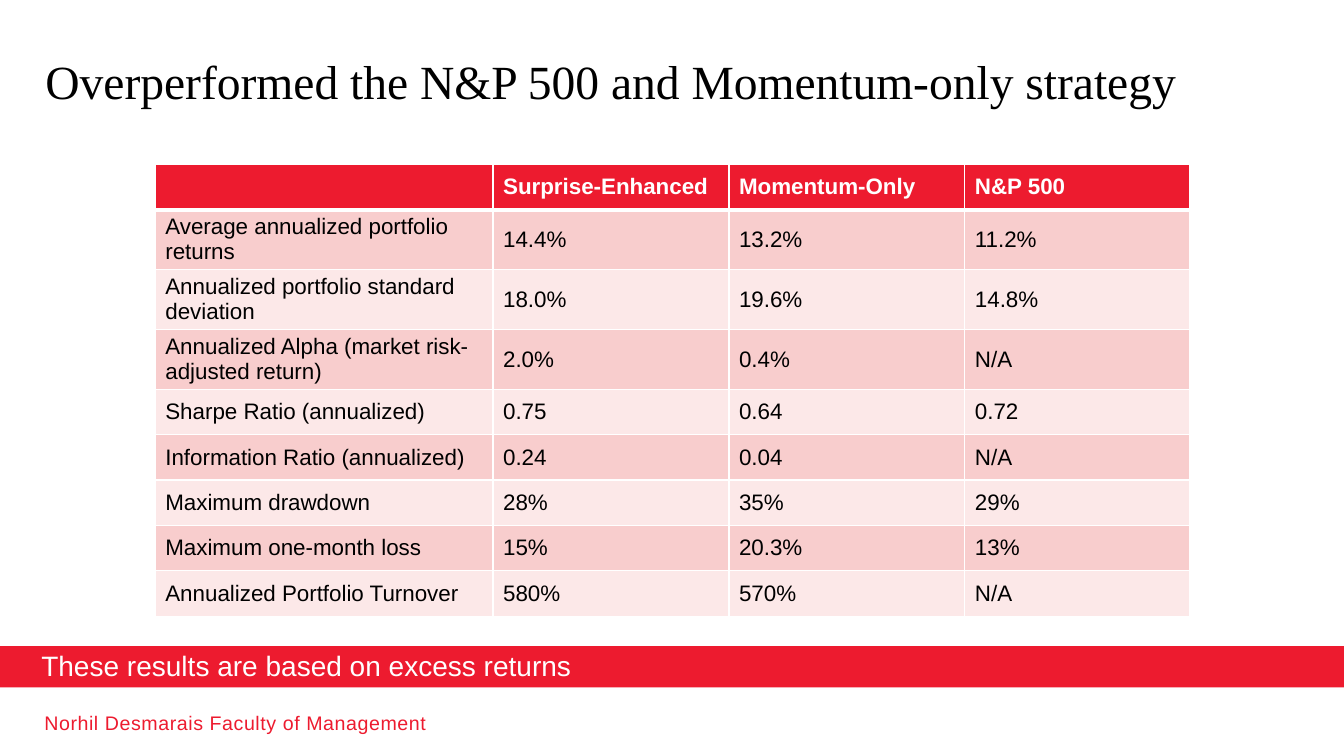
from dataclasses import dataclass

from lxml import etree
from pptx import Presentation
from pptx.dml.color import RGBColor
from pptx.enum.shapes import MSO_SHAPE
from pptx.enum.text import MSO_ANCHOR, MSO_AUTO_SIZE, PP_ALIGN
from pptx.oxml.ns import qn
from pptx.util import Inches, Pt

RECTANGLE = MSO_SHAPE.RECTANGLE
TOP, MIDDLE, BOTTOM = MSO_ANCHOR.TOP, MSO_ANCHOR.MIDDLE, MSO_ANCHOR.BOTTOM
LEFT = PP_ALIGN.LEFT
FIXED_SIZE = MSO_AUTO_SIZE.NONE
TITLE_ONLY_LAYOUT = 5


@dataclass(frozen=True)
class Theme:
    red: str = "ED1B2F"
    dark_band: str = "F8CDCD"
    light_band: str = "FCE8E8"
    white: str = "FFFFFF"
    black: str = "000000"
    heading_font: str = "Times New Roman"
    body_font: str = "Arial"
    title_size: int = 34
    banner_size: int = 20
    table_size: int = 16
    footer_size: int = 14


THEME = Theme()

COLUMN_WIDTHS = (3.35, 2.34, 2.34, 2.23)
RESULTS = (
    ("", "Surprise-Enhanced", "Momentum-Only", "N&P 500"),
    ("Average annualized portfolio returns", "14.4%", "13.2%", "11.2%"),
    ("Annualized portfolio standard deviation", "18.0%", "19.6%", "14.8%"),
    ("Annualized Alpha (market risk-adjusted return)", "2.0%", "0.4%", "N/A"),
    ("Sharpe Ratio (annualized)", "0.75", "0.64", "0.72"),
    ("Information Ratio (annualized)", "0.24", "0.04", "N/A"),
    ("Maximum drawdown", "28%", "35%", "29%"),
    ("Maximum one-month loss", "15%", "20.3%", "13%"),
    ("Annualized Portfolio Turnover", "580%", "570%", "N/A"),
)


def add_run(paragraph, text, size, color, font=THEME.body_font, bold=False):
    paragraph.alignment = LEFT
    run = paragraph.add_run()
    run.text = text
    run.font.name = font
    run.font.size = Pt(size)
    run.font.bold = bold
    run.font.color.rgb = RGBColor.from_string(color)
    return run


def clear_margins(text_frame):
    text_frame.margin_left = text_frame.margin_right = 0
    text_frame.margin_top = text_frame.margin_bottom = 0


def add_title(slide, text, left, top, width, height):
    title = slide.shapes.title
    title.left, title.top = Inches(left), Inches(top)
    title.width, title.height = Inches(width), Inches(height)
    text_frame = title.text_frame
    clear_margins(text_frame)
    text_frame.auto_size = FIXED_SIZE
    text_frame.vertical_anchor = TOP
    paragraph = text_frame.paragraphs[0]
    paragraph.line_spacing = 0.85
    add_run(paragraph, text, THEME.title_size, THEME.black, THEME.heading_font)


def add_cell_borders(cell, bottom_width):
    """Draw white cell borders; call before the fill, which must follow them."""
    properties = cell._tc.get_or_add_tcPr()
    for side, width in (("L", 1), ("R", 1), ("T", 1), ("B", bottom_width)):
        line = etree.SubElement(properties, qn(f"a:ln{side}"), w=str(Pt(width)))
        fill = etree.SubElement(line, qn("a:solidFill"))
        etree.SubElement(fill, qn("a:srgbClr"), val=THEME.white)


def add_results_table(slide, rows, column_widths, left, top, row_height):
    table = slide.shapes.add_table(
        len(rows), len(column_widths), Inches(left), Inches(top),
        Inches(sum(column_widths)), Inches(row_height * len(rows))).table
    for column, width in zip(table.columns, column_widths):
        column.width = Inches(width)
    for row_index, values in enumerate(rows):
        table.rows[row_index].height = Inches(row_height)
        header = row_index == 0
        band = THEME.dark_band if row_index % 2 else THEME.light_band
        for column_index, value in enumerate(values):
            cell = table.cell(row_index, column_index)
            cell.vertical_anchor = MIDDLE
            add_cell_borders(cell, 3 if header else 1)
            cell.fill.solid()
            cell.fill.fore_color.rgb = RGBColor.from_string(THEME.red if header else band)
            if value:
                add_run(cell.text_frame.paragraphs[0], value, THEME.table_size,
                        THEME.white if header else THEME.black, bold=header)


def add_banner(slide, text, left, top, width, height):
    banner = slide.shapes.add_shape(
        RECTANGLE, Inches(left), Inches(top), Inches(width), Inches(height))
    banner.shadow.inherit = False
    banner.fill.solid()
    banner.fill.fore_color.rgb = RGBColor.from_string(THEME.red)
    banner.line.fill.background()
    text_frame = banner.text_frame
    text_frame.margin_left = Inches(0.41)
    text_frame.vertical_anchor = BOTTOM
    add_run(text_frame.paragraphs[0], text, THEME.banner_size, THEME.white)


def add_footer(slide, text, left, top, width, height):
    footer = slide.shapes.add_textbox(
        Inches(left), Inches(top), Inches(width), Inches(height))
    text_frame = footer.text_frame
    text_frame.word_wrap = True
    clear_margins(text_frame)
    paragraph = text_frame.paragraphs[0]
    paragraph.line_spacing = 1.08
    run = add_run(paragraph, text, THEME.footer_size, THEME.red)
    run.font._element.set("spc", "40")


def main():
    presentation = Presentation()
    presentation.slide_width, presentation.slide_height = Inches(13.33), Inches(7.5)
    slide = presentation.slides.add_slide(presentation.slide_layouts[TITLE_ONLY_LAYOUT])
    add_title(slide, "Overperformed the N&P 500 and Momentum-only strategy",
              0.45, 0.6, 12.44, 0.98)
    add_results_table(slide, RESULTS, COLUMN_WIDTHS, 1.54, 1.63, 0.45)
    add_banner(slide, "These results are based on excess returns", 0, 6.41, 13.33, 0.41)
    add_footer(slide, "Norhil Desmarais Faculty of Management", 0.44, 7.03, 7.34, 0.24)
    presentation.save("out.pptx")


if __name__ == "__main__":
    main()
